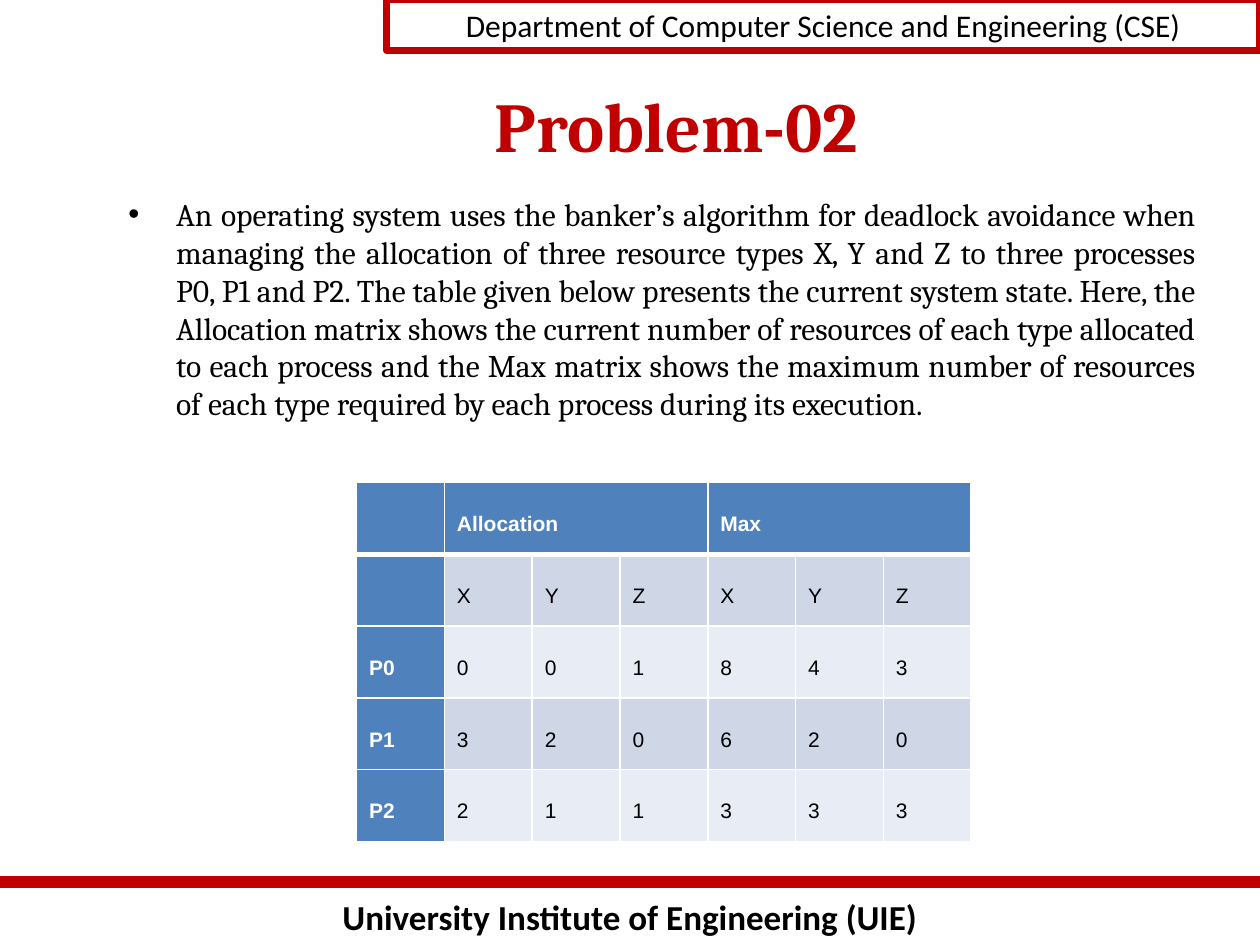
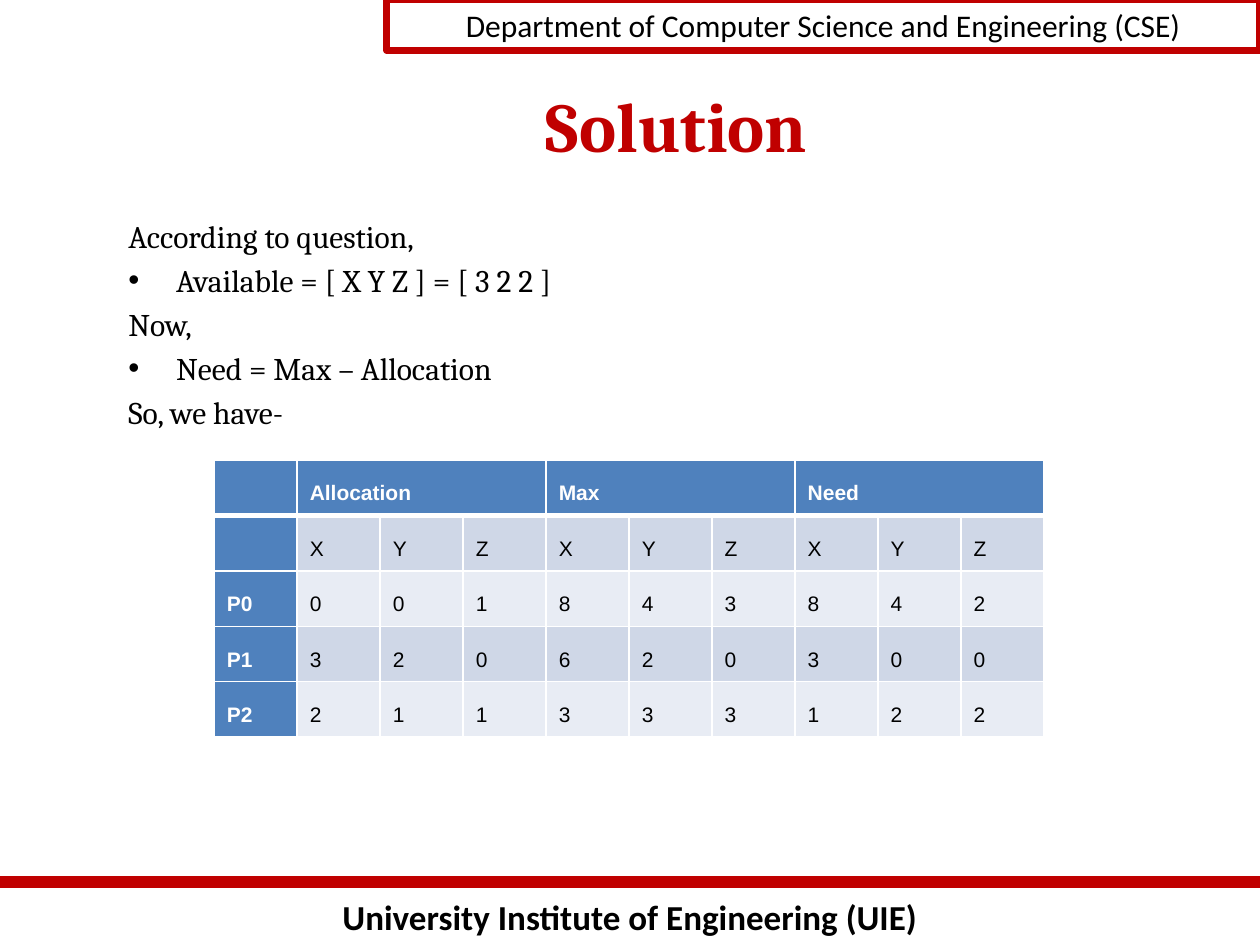
import dataclasses

import pptx
import pptx.dml.color
import pptx.enum.shapes
import pptx.enum.text
import pptx.oxml.ns
import pptx.util
from lxml import etree

Inches = pptx.util.Inches
Pt = pptx.util.Pt
Align = pptx.enum.text.PP_ALIGN
Anchor = pptx.enum.text.MSO_ANCHOR
qn = pptx.oxml.ns.qn


@dataclasses.dataclass(frozen=True)
class Theme:
    accent: str = "C00000"
    ink: str = "000000"
    white: str = "FFFFFF"
    table_head: str = "4F81BD"
    table_bands: tuple = ("CFD7E7", "E8ECF4")
    heading_font: str = "Cambria"
    band_font: str = "Calibri"
    table_font: str = "Arial"
    title_size: int = 40
    footer_size: int = 20
    body_size: int = 18
    table_size: int = 12


def rgb(value):
    return pptx.dml.color.RGBColor.from_string(value)


def add_color(parent, value):
    etree.SubElement(parent, qn("a:srgbClr"), val=value)


class Deck:
    """Holds the presentation, its theme and the current slide."""

    def __init__(self, theme):
        self.theme = theme
        self.presentation = pptx.Presentation()
        self.presentation.slide_width = Inches(10)
        self.presentation.slide_height = Inches(7.5)
        self.slide = None

    def start_slide(self, title):
        layout = self.presentation.slide_layouts[5]
        self.slide = self.presentation.slides.add_slide(layout)
        self.footer("University Institute of Engineering (UIE)")
        self.header("Department of Computer Science and Engineering (CSE)")
        self.title(title)

    def add_text(self, paragraph, text, font, size, color, bold=False):
        run = paragraph.add_run()
        run.text = text
        run.font.name = font
        run.font.size = Pt(size)
        run.font.bold = bold
        run.font.color.rgb = rgb(color)

    def prepare_frame(self, shape, anchor=Anchor.TOP):
        frame = shape.text_frame
        frame.word_wrap = True
        frame.auto_size = pptx.enum.text.MSO_AUTO_SIZE.NONE
        frame.vertical_anchor = anchor
        return frame

    def text_box(self, left, top, width, height):
        shape = self.slide.shapes.add_textbox(
            Inches(left), Inches(top), Inches(width), Inches(height))
        return self.prepare_frame(shape)

    # Shared bands
    def footer(self, text):
        theme = self.theme
        paragraph = self.text_box(0, 7.06, 10, 0.44).paragraphs[0]
        paragraph.alignment = Align.CENTER
        self.add_text(paragraph, text, theme.band_font, theme.footer_size, theme.ink, True)
        rule = self.slide.shapes.add_connector(
            pptx.enum.shapes.MSO_CONNECTOR.STRAIGHT,
            Inches(0), Inches(7), Inches(10), Inches(7))
        rule.line.color.rgb = rgb(theme.accent)
        rule.line.width = Pt(7)
        etree.SubElement(rule._element.spPr, qn("a:effectLst"))

    def header(self, text):
        theme = self.theme
        frame_box = self.slide.shapes.add_shape(
            pptx.enum.shapes.MSO_SHAPE.RECTANGLE,
            Inches(3.07), Inches(0), Inches(6.93), Inches(0.4))
        frame_box.shadow.inherit = False
        frame_box.fill.background()
        frame_box.line.color.rgb = rgb(theme.accent)
        frame_box.line.width = Pt(4)
        paragraph = self.prepare_frame(frame_box).paragraphs[0]
        paragraph.alignment = Align.CENTER
        self.add_text(paragraph, text, theme.band_font, theme.body_size, theme.ink)

    def title(self, text):
        theme = self.theme
        title = self.slide.shapes.title
        title.left, title.top = Inches(1.17), Inches(0.67)
        title.width, title.height = Inches(8.4), Inches(0.63)
        paragraph = self.prepare_frame(title, Anchor.MIDDLE).paragraphs[0]
        paragraph.alignment = Align.CENTER
        self.add_text(paragraph, text, theme.heading_font, theme.title_size, theme.accent, True)

    # Body text: a list of (text, has bullet)
    def body(self, top, lines, alignment=Align.LEFT):
        theme = self.theme
        frame = self.text_box(0.92, top, 8.67, 6.04 - top)
        for index, (text, bulleted) in enumerate(lines):
            paragraph = frame.add_paragraph() if index else frame.paragraphs[0]
            paragraph.alignment = alignment
            if index:
                paragraph.space_before = Pt(3.6)
            if bulleted:
                self.add_bullet(paragraph)
            self.add_text(paragraph, text, theme.heading_font, theme.body_size, theme.ink)

    def add_bullet(self, paragraph):
        indent = Inches(0.38)
        properties = paragraph._p.get_or_add_pPr()
        properties.set("marL", str(indent))
        properties.set("indent", str(-indent))
        add_color(etree.SubElement(properties, qn("a:buClr")), self.theme.ink)
        etree.SubElement(properties, qn("a:buFont"), typeface="Arial")
        etree.SubElement(properties, qn("a:buChar"), char="•")

    # Matrix table: groups maps a heading to one X, Y, Z row per process
    def matrix_table(self, left, top, width, row_height, groups):
        axes = ["X", "Y", "Z"]
        rows = [[""], [""] + axes * len(groups)]
        for name in groups:
            rows[0] += [name, "", ""]
        for process, values in enumerate(zip(*groups.values())):
            rows.append([f"P{process}"] + [str(n) for triple in values for n in triple])

        column_count = len(rows[1])
        table = self.slide.shapes.add_table(
            len(rows), column_count, Inches(left), Inches(top),
            Inches(width), Inches(row_height * len(rows))).table
        table.first_row = table.horz_banding = False
        for column in table.columns:
            column.width = Inches(width / column_count)
        for row_index, row in enumerate(rows):
            table.rows[row_index].height = Inches(row_height)
            for column_index, text in enumerate(row):
                self.table_cell(table.cell(row_index, column_index),
                                text, row_index, column_index)
        for start in range(1, column_count, len(axes)):
            table.cell(0, start).merge(table.cell(0, start + len(axes) - 1))

    def table_cell(self, cell, text, row_index, column_index):
        theme = self.theme
        is_head = row_index == 0 or column_index == 0
        self.cell_borders(cell, row_index)
        cell.fill.solid()
        cell.fill.fore_color.rgb = rgb(
            theme.table_head if is_head else theme.table_bands[(row_index - 1) % 2])
        cell.vertical_anchor = Anchor.MIDDLE
        cell.margin_left = cell.margin_right = Inches(0.1)
        cell.margin_top = cell.margin_bottom = Inches(0.08)
        paragraph = cell.text_frame.paragraphs[0]
        if text:
            paragraph.line_spacing = 1.5
            self.add_text(paragraph, text, theme.table_font, theme.table_size,
                          theme.white if is_head else theme.ink, is_head)
        else:
            paragraph.font.size = Pt(theme.table_size)

    def cell_borders(self, cell, row_index):
        widths = {"L": 1, "R": 1, "T": 3 if row_index == 1 else 1,
                  "B": 3 if row_index == 0 else 1}
        properties = cell._tc.get_or_add_tcPr()
        for side, width in widths.items():
            border = etree.SubElement(properties, qn(f"a:ln{side}"), w=str(Pt(width)))
            add_color(etree.SubElement(border, qn("a:solidFill")), self.theme.white)


def main():
    deck = Deck(Theme())
    allocation = [(0, 0, 1), (3, 2, 0), (2, 1, 1)]
    maximum = [(8, 4, 3), (6, 2, 0), (3, 3, 3)]
    need = [tuple(m - a for m, a in zip(most, held))
            for most, held in zip(maximum, allocation)]
    groups = {"Allocation": allocation, "Max": maximum}

    # Problem statement
    deck.start_slide("Problem-02")
    deck.body(1.5, [(
        "An operating system uses the banker’s algorithm for deadlock avoidance when "
        "managing the allocation of three resource types X, Y and Z to three processes "
        "P0, P1 and P2. The table given below presents the current system state. Here, the "
        "Allocation matrix shows the current number of resources of each type allocated "
        "to each process and the Max matrix shows the maximum number of resources "
        "of each type required by each process during its execution.", True)],
        Align.JUSTIFY)
    deck.matrix_table(2.83, 3.83, 4.88, 0.57, groups)

    # Solution with the need matrix
    deck.start_slide("Solution")
    deck.body(1.67, [
        ("According to question,", False),
        ("Available = [ X Y Z ] = [ 3 2 2 ]", True),
        ("Now,", False),
        ("Need = Max – Allocation", True),
        ("So, we have-", False)])
    deck.matrix_table(1.7, 3.65, 6.59, 0.44, {**groups, "Need": need})

    deck.presentation.save("out.pptx")


if __name__ == "__main__":
    main()
